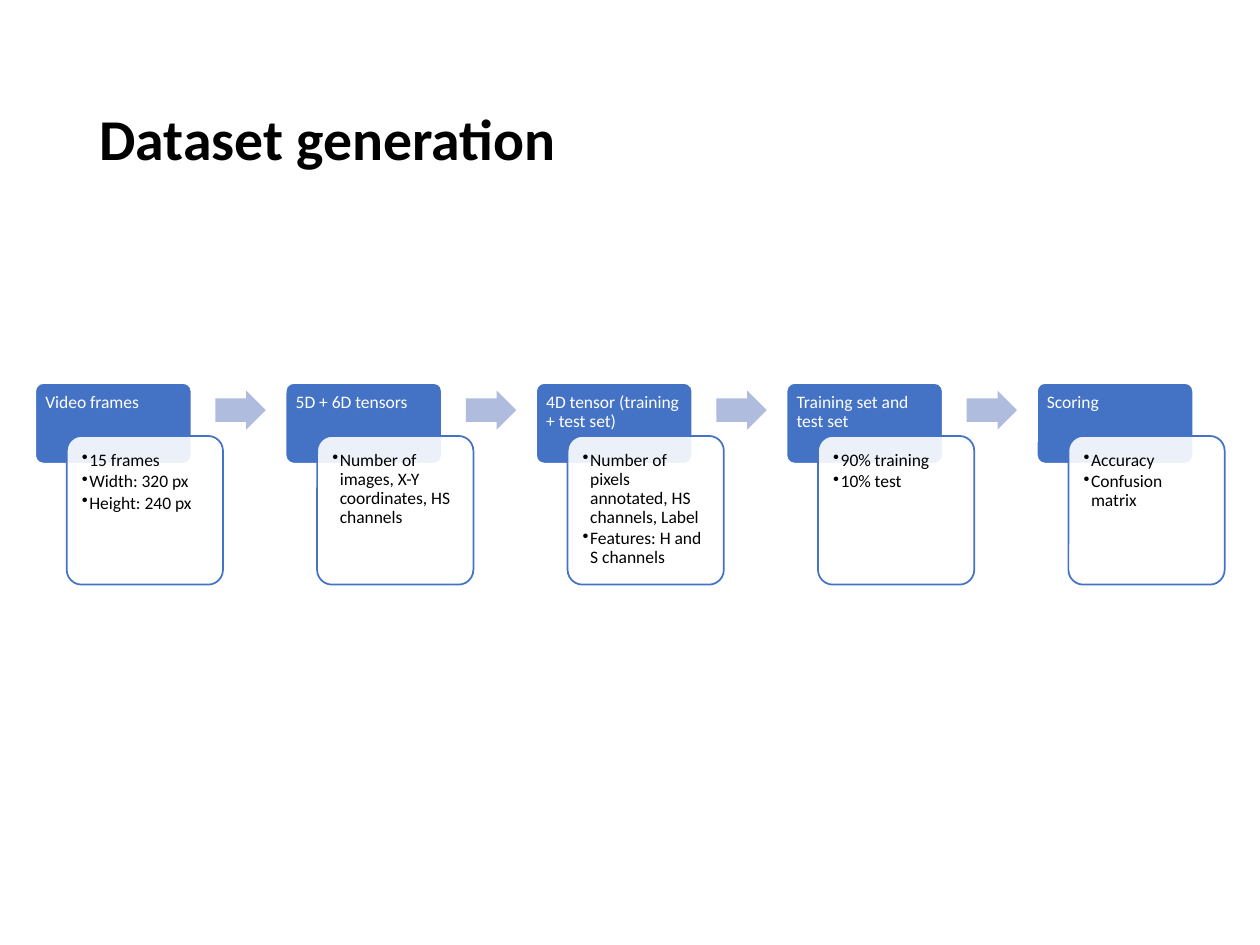
from lxml import etree
from pptx import Presentation
from pptx.dml.color import RGBColor
from pptx.enum.shapes import MSO_SHAPE
from pptx.enum.text import MSO_ANCHOR
from pptx.oxml.ns import qn
from pptx.util import Inches, Pt

ROUNDED = MSO_SHAPE.ROUNDED_RECTANGLE
ARROW = MSO_SHAPE.RIGHT_ARROW
TOP, MIDDLE = MSO_ANCHOR.TOP, MSO_ANCHOR.MIDDLE
BLUE, PALE_BLUE, WHITE, BLACK = "4472C4", "B0BCDE", "FFFFFF", "000000"

deck = Presentation()
deck.slide_width, deck.slide_height = Inches(10), Inches(7.5)
page = deck.slides.add_slide(deck.slide_layouts[6])


def add_panel(kind, left, top, width, height, fill, line=None, adjust=(0.1,)):
    panel = page.shapes.add_shape(
        kind, Inches(left), Inches(top), Inches(width), Inches(height))
    panel.shadow.inherit = False
    for index, value in enumerate(adjust):
        panel.adjustments[index] = value
    panel.fill.solid()
    panel.fill.fore_color.rgb = RGBColor.from_string(fill)
    if line:
        panel.line.color.rgb = RGBColor.from_string(line)
        panel.line.width = Pt(1)
    else:
        panel.line.fill.background()
    return panel


def add_text(lines, left, top, width, height, size=10, color=BLACK, bold=False,
             anchor=TOP, insets=(0.08, 0.08, 0.08, 0.08), after=0, bullet=False):
    box = page.shapes.add_textbox(
        Inches(left), Inches(top), Inches(width), Inches(height))
    frame = box.text_frame
    frame.word_wrap = True
    frame.vertical_anchor = anchor
    (frame.margin_left, frame.margin_top,
     frame.margin_right, frame.margin_bottom) = map(Inches, insets)
    for index, line in enumerate(lines):
        para = frame.paragraphs[0] if index == 0 else frame.add_paragraph()
        para.line_spacing = 0.9
        para.space_after = Pt(after)
        span = para.add_run()
        span.text = line
        span.font.name = "Calibri"
        span.font.size = Pt(size)
        span.font.bold = bold
        span.font.color.rgb = RGBColor.from_string(color)
        if bullet:
            para.level = 1
            properties = para._p.get_or_add_pPr()
            properties.set("marL", str(Inches(0.06)))
            properties.set("indent", str(-Inches(0.06)))
            etree.SubElement(properties, qn("a:buChar")).set("char", "•")


# Title
add_text(["Dataset generation"], 0.69, 0.4, 8.62, 1.45, size=33, bold=True,
         anchor=MIDDLE, insets=(0.1, 0.05, 0.1, 0.05))

# Process steps
steps = [
    ("Video frames", ["15 frames", "Width: 320 px", "Height: 240 px"]),
    ("5D + 6D tensors", ["Number of images, X-Y coordinates, HS channels"]),
    ("4D tensor (training + test set)",
     ["Number of pixels annotated, HS channels, Label",
      "Features: H and S channels"]),
    ("Training set and test set", ["90% training", "10% test"]),
    ("Scoring", ["Accuracy", "Confusion matrix"]),
]
first_left, last_left = 0.28, 8.23
pitch = (last_left - first_left) / (len(steps) - 1)

for number, (heading, details) in enumerate(steps):
    left = first_left + number * pitch

    # Heading card
    add_panel(ROUNDED, left, 3.04, 1.24, 0.64, BLUE, WHITE)
    add_text([heading], left, 3.04, 1.24, 0.43, color=WHITE, after=3.5,
             insets=(0.08, 0.08, 0.08, 0.04))

    # Detail card, slightly transparent over the heading
    card = add_panel(ROUNDED, left + 0.25, 3.46, 1.24, 1.18, WHITE, BLUE)
    fill_color = card._element.spPr.find(qn("a:solidFill"))[0]
    etree.SubElement(fill_color, qn("a:alpha")).set("val", "90000")
    add_text(details, left + 0.29, 3.5, 1.17, 1.11, after=1.5, bullet=True)

    # Arrow to the next step
    if number < len(steps) - 1:
        add_panel(ARROW, left + 1.43, 3.1, 0.4, 0.31, PALE_BLUE, adjust=(0.6, 0.5))

deck.save("out.pptx")
